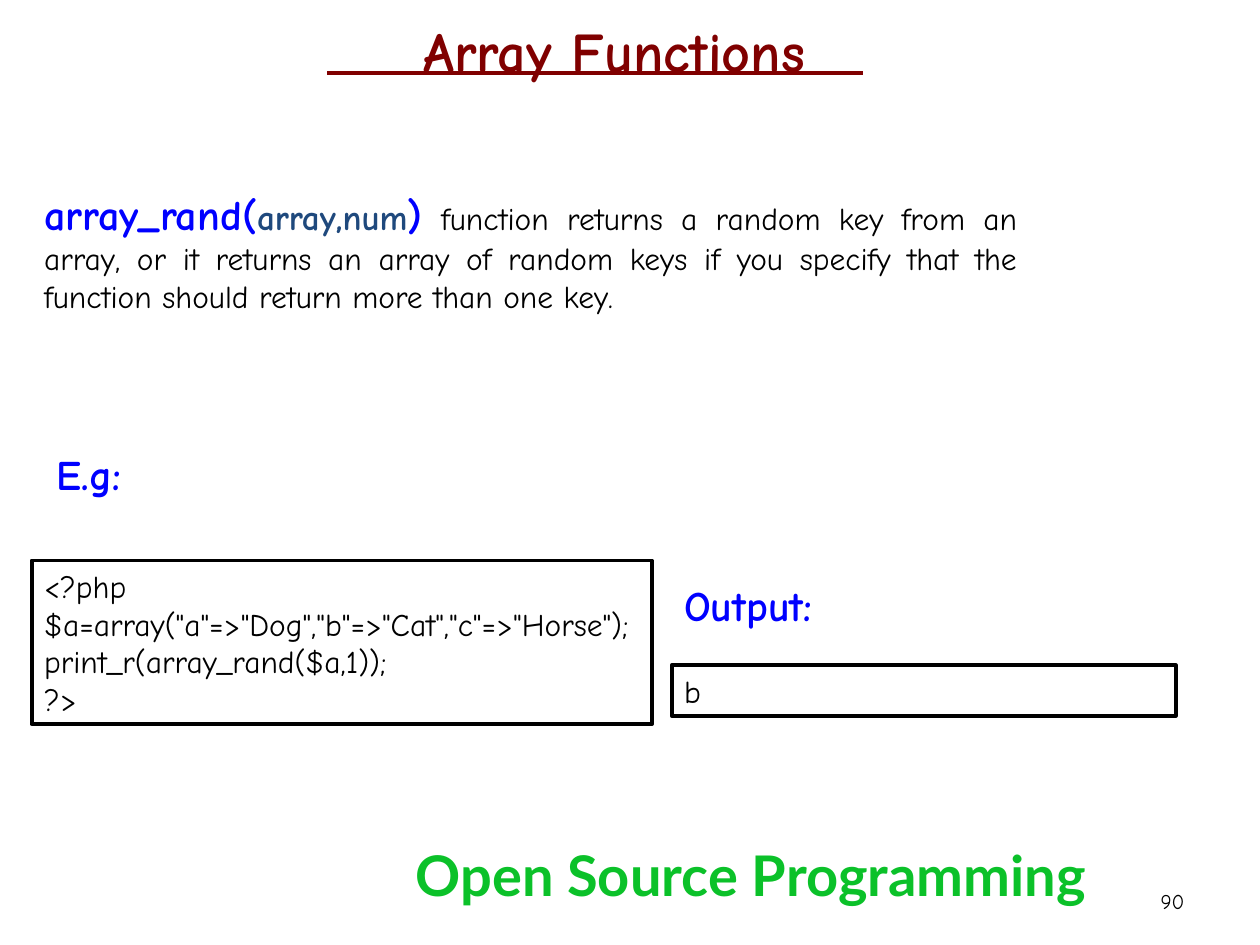
from pptx import Presentation
from pptx import util as u
from pptx.dml.color import RGBColor
from pptx.enum import shapes, text
from pptx.oxml.ns import qn
from lxml import etree

BLACK = RGBColor(0x00, 0x00, 0x00)
BLUE = RGBColor(0x00, 0x00, 0xFF)
NAVY = RGBColor(0x1F, 0x49, 0x7D)
MAROON = RGBColor(0x80, 0x00, 0x00)
GREEN = RGBColor(0x0B, 0xC1, 0x29)
HAND = "Comic Neue"
SANS = "Lato"
LEFT, CENTER = text.PP_ALIGN.LEFT, text.PP_ALIGN.CENTER
RIGHT, JUSTIFY = text.PP_ALIGN.RIGHT, text.PP_ALIGN.JUSTIFY
TOP, MIDDLE = text.MSO_ANCHOR.TOP, text.MSO_ANCHOR.MIDDLE

CODE = """<?php
$a=array("a"=>"Dog","b"=>"Cat","c"=>"Horse");
print_r(array_rand($a,1));
?>"""
DESCRIPTION = (" function returns a random key from an array, or it returns an array "
               "of random keys if you specify that the function should return more than one key.")


def place(sp, x, y, w, h):
    sp.left, sp.top, sp.width, sp.height = u.Cm(x), u.Cm(y), u.Cm(w), u.Cm(h)


def add_text(p, content, size=18, color=BLACK, bold=False, font=HAND):
    for i, line in enumerate(content.split("\n")):
        if i:
            p.add_line_break()
        r = p.add_run()
        r.text = line
        r.font.size, r.font.name, r.font.bold = u.Pt(size), font, bold
        r.font.color.rgb = color


def set_frame(sp, align=LEFT, anchor=TOP):
    tf = sp.text_frame
    tf.word_wrap = True
    tf.auto_size = text.MSO_AUTO_SIZE.NONE
    tf.vertical_anchor = anchor
    p = tf.paragraphs[0]
    p.alignment = align
    return p


def add_label(s, x, y, w, h, content="", align=LEFT, anchor=TOP, **fmt):
    sp = s.shapes.add_textbox(u.Cm(x), u.Cm(y), u.Cm(w), u.Cm(h))
    p = set_frame(sp, align, anchor)
    if content:
        add_text(p, content, **fmt)
    return p


def add_title(s, x, y, w, h):
    sp = s.shapes.title
    place(sp, x, y, w, h)
    add_text(set_frame(sp, CENTER), "Array Functions", size=32, color=MAROON, bold=True)
    rule_y = u.Cm(y + 1.27)
    ln = s.shapes.add_connector(shapes.MSO_CONNECTOR.STRAIGHT,
                                u.Cm(x + 0.25), rule_y, u.Cm(x + w - 1.02), rule_y)
    ln.line.color.rgb = MAROON
    ln.line.width = u.Pt(2)
    etree.SubElement(ln._element.spPr, qn("a:effectLst"))


def add_description(s, x, y, w, h):
    p = add_label(s, x, y, w, h, align=JUSTIFY, anchor=MIDDLE)
    add_text(p, "array_rand(", size=24, color=BLUE, bold=True)
    add_text(p, "array,num", size=20, color=NAVY, bold=True)
    add_text(p, ")", size=24, color=BLUE, bold=True)
    add_text(p, DESCRIPTION)


def add_panel(s, x, y, w, h, label, content, box_h, label_dx=0):
    add_label(s, x + label_dx, y, 7.2, 1.27, label, size=24, color=BLUE, bold=True)
    sp = s.shapes.add_shape(shapes.MSO_SHAPE.RECTANGLE, u.Cm(x), u.Cm(y + h - box_h),
                            u.Cm(w), u.Cm(box_h))
    sp.shadow.inherit = False
    sp.fill.background()
    sp.line.color.rgb = BLACK
    sp.line.width = u.Pt(2.25)
    add_text(set_frame(sp, anchor=MIDDLE), content)


def add_footer(s, x, y, w, h):
    add_label(s, x, y, w, h, "Open Source Programming", align=CENTER,
              size=32, color=GREEN, bold=True, font=SANS)
    add_label(s, x + 10.59, y + 0.84, 5.92, 1.02, "90", align=RIGHT, anchor=MIDDLE, size=12)


def main():
    prs = Presentation()
    prs.slide_width, prs.slide_height = u.Cm(25.4), u.Cm(19.05)
    s = prs.slides.add_slide(prs.slide_layouts[5])
    add_title(s, 6.35, 0.2, 12.07, 1.63)
    add_description(s, 0.64, 3.68, 20.12, 2.79)
    add_panel(s, 0.64, 8.92, 12.5, 5.68, "E.g:", CODE, box_h=3.3, label_dx=0.25)
    add_panel(s, 13.54, 11.56, 10.16, 2.87, "Output:", "b", box_h=1.02)
    add_footer(s, 7.62, 16.81, 15.04, 2.97)
    prs.save("out.pptx")


if __name__ == "__main__":
    main()
